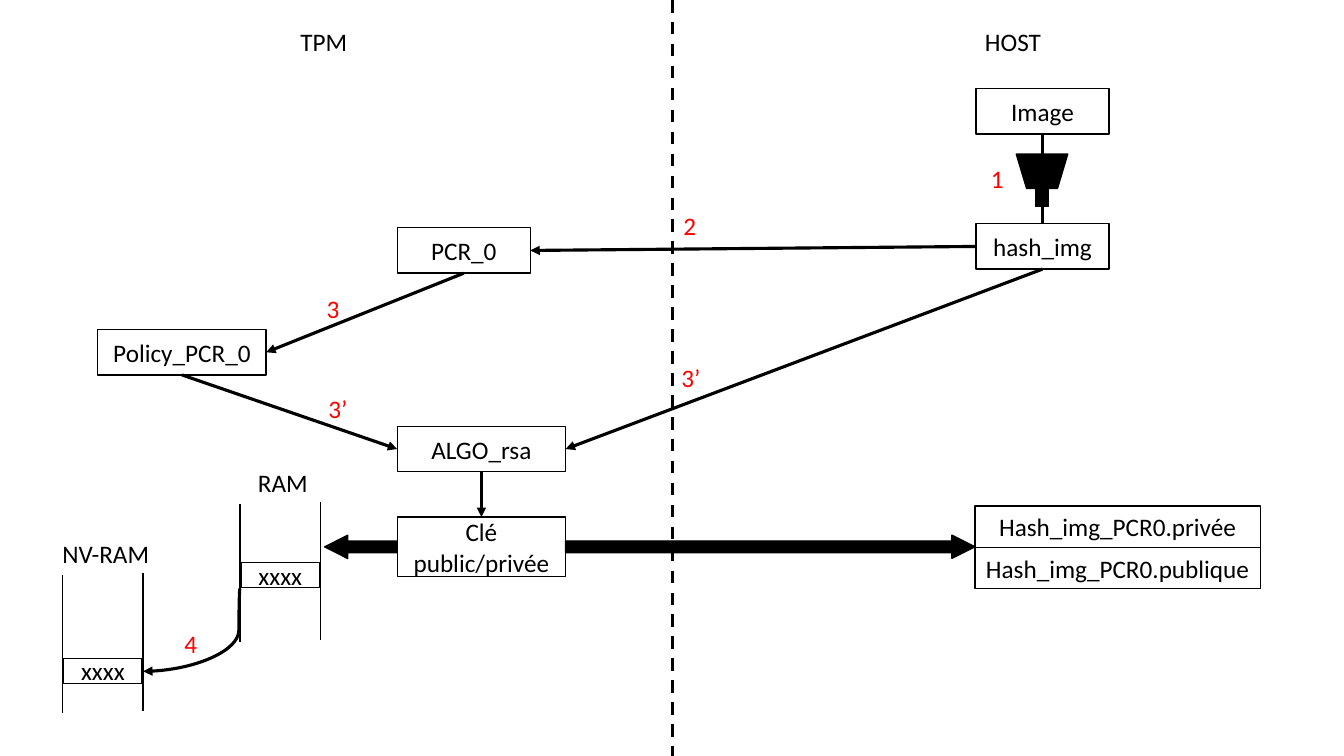
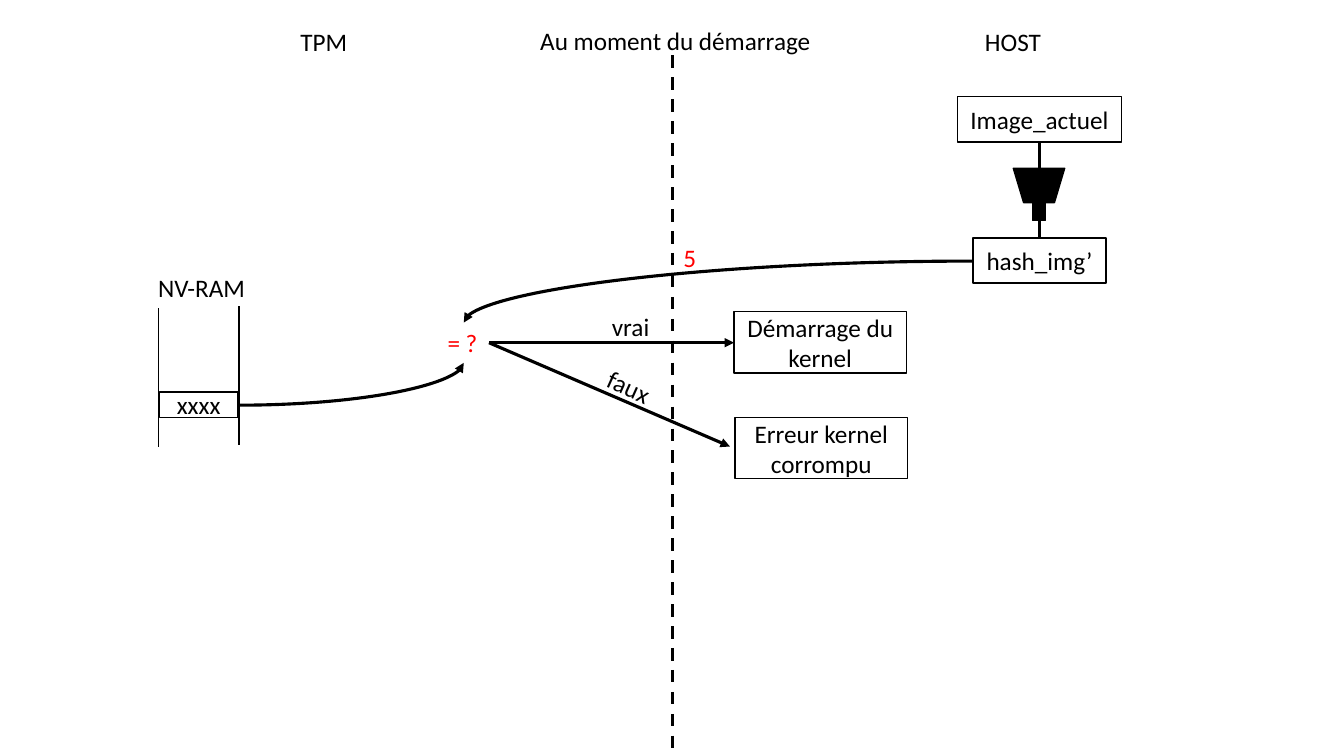
from lxml.etree import SubElement
from pptx import Presentation
from pptx.dml.color import RGBColor
from pptx.enum.dml import MSO_LINE
from pptx.enum.shapes import MSO_CONNECTOR as CONN, MSO_SHAPE as SHAPE
from pptx.enum.text import MSO_ANCHOR as ANCHOR, MSO_AUTO_SIZE as AUTO, PP_ALIGN as ALIGN
from pptx.oxml.ns import qn
from pptx.util import Inches, Pt

COLS, ROWS = 13.33, 7.5
CELL = Inches(1)
BLACK, WHITE, RED = "000000", "FFFFFF", "FF0000"
FONT, SIZE = "Calibri", 18
THIN, THICK = 1, 2.25
TOP, LEFT, BOTTOM, RIGHT = range(4)
MIDDLE = 6.67
BOX_H, BOX_W, WIDE_W = 0.45, 1.32, 1.67


def grid(*cells):
    return [round(n * CELL) for n in cells]


def rgb(code):
    return RGBColor.from_string(code)


def write(sp, text, color=BLACK, align=ALIGN.LEFT):
    tf = sp.text_frame
    tf.word_wrap = True
    p = tf.paragraphs[0]
    p.alignment = align
    r = p.add_run()
    r.text = text
    r.font.name, r.font.size = FONT, Pt(SIZE)
    r.font.color.rgb = rgb(color)


def shape(s, kind, x, y, w, h, fill=BLACK):
    sp = s.shapes.add_shape(kind, *grid(x, y, w, h))
    sp.shadow.inherit = False
    sp.fill.solid()
    sp.fill.fore_color.rgb = rgb(fill)
    sp.line.color.rgb = rgb(BLACK)
    sp.line.width = Pt(THIN)
    return sp


def box(s, text, x, y, w=BOX_W, h=BOX_H):
    sp = shape(s, SHAPE.RECTANGLE, x, y, w, h, WHITE)
    sp.text_frame.vertical_anchor = ANCHOR.MIDDLE
    write(sp, text, align=ALIGN.CENTER)
    return sp


def label(s, text, x, y, w, color=BLACK, turn=0):
    sp = s.shapes.add_textbox(*grid(x, y, w, 0.4))
    write(sp, text, color)
    sp.text_frame.auto_size = AUTO.SHAPE_TO_FIT_TEXT
    sp.rotation = turn


def step(s, text, x, y, w=0.35):
    label(s, text, x, y, w, RED)


def line(s, start, end, width=THICK, arrow=False, dash=False, kind=CONN.STRAIGHT):
    cx = s.shapes.add_connector(kind, *grid(*start, *end))
    cx.line.color.rgb = rgb(BLACK)
    cx.line.width = Pt(width)
    if dash:
        cx.line.dash_style = MSO_LINE.DASH
    if arrow:
        SubElement(cx.line._get_or_add_ln(), qn("a:tailEnd"), type="triangle")
    SubElement(cx._element.spPr, qn("a:effectLst"))
    return cx


def link(s, a, a_side, b, b_side, arrow=True):
    cx = line(s, (0, 0), (1, 1), arrow=arrow)
    cx.begin_connect(a, a_side)
    cx.end_connect(b, b_side)


def curve(s, start, end, preset="curvedConnector2", bend=None):
    cx = line(s, start, end, arrow=True, kind=CONN.CURVE)
    geom = cx._element.spPr.find(qn("a:prstGeom"))
    geom.set("prst", preset)
    if bend is not None:
        guides = geom.find(qn("a:avLst"))
        SubElement(guides, qn("a:gd"), name="adj1", fmla=f"val {round(bend * 100000)}")


def block_arrow(s, x, w, turn=0):
    sp = shape(s, SHAPE.RIGHT_ARROW, x, 5.31, w, 0.23)
    sp.adjustments[0], sp.adjustments[1] = 0.5, 0.99
    sp.rotation = turn


def memory(s, text, x, y, cell_drop=0.83, text_shift=-0.1, text_w=1.17):
    group = s.shapes.add_group_shape()
    for left, top in ((x, y), (x + 0.8, y - 0.02)):
        line(group, (left, top), (left, top + 1.37), THIN)
    label(group, text, x + text_shift, y - 0.41, text_w)
    box(s, "xxxx", x + 0.01, y + cell_drop, 0.78, 0.25)


def hashing(s, center, image, image_y, image_w, digest, digest_y):
    source = box(s, image, center - image_w / 2, image_y, image_w)
    result = box(s, digest, center - BOX_W / 2, digest_y)
    funnel = s.shapes.add_group_shape()
    top = digest_y - 0.69
    shape(funnel, SHAPE.FLOWCHART_MANUAL_OPERATION, center - 0.26, top, 0.51, 0.34)
    shape(funnel, SHAPE.RECTANGLE, center - 0.07, top + 0.34, 0.13, 0.18)
    link(s, source, BOTTOM, result, TOP, arrow=False)
    return result


def new_slide(prs, divider_top=0):
    s = prs.slides.add_slide(prs.slide_layouts[6])
    label(s, "HOST", 9.67, 0.21, 0.91)
    label(s, "TPM", 2.88, 0.21, 0.91)
    line(s, (MIDDLE, divider_top), (MIDDLE, ROWS), dash=True)
    return s


def sealing(prs):
    s = new_slide(prs)
    digest = hashing(s, 10.34, "Image", 0.88, BOX_W, "hash_img", 2.22)
    pcr = box(s, "PCR_0", 3.94, 2.26)
    policy = box(s, "Policy_PCR_0", 0.97, 3.27, WIDE_W)
    algo = box(s, "ALGO_rsa", 3.94, 4.23, WIDE_W)
    keys = box(s, "Clé public/privée", 3.94, 5.13, WIDE_W, 0.59)
    link(s, digest, LEFT, pcr, RIGHT)
    link(s, pcr, BOTTOM, policy, RIGHT)
    link(s, policy, BOTTOM, algo, LEFT)
    link(s, digest, BOTTOM, algo, RIGHT)
    link(s, algo, BOTTOM, keys, TOP)

    block_arrow(s, 5.61, 4.06)
    block_arrow(s, 3.22, 0.72, 180)
    for i, part in enumerate(("privée", "publique")):
        box(s, f"Hash_img_PCR0.{part}", 9.67, 5.02 + i * 0.41, 2.83, 0.41)

    memory(s, "RAM", 2.38, 5, 0.58, 0.08, 0.74)
    memory(s, "NV-RAM", 0.62, 5.7)
    curve(s, (2.38, 5.84), (1.42, 6.66), "curvedConnector3", 0.01)

    step(s, "1", 9.73, 1.57)
    step(s, "2", 6.68, 2.04)
    step(s, "3", 3.14, 2.86)
    step(s, "3’", 3.16, 3.85, 0.44)
    step(s, "3’", 6.66, 3.55, 0.44)
    step(s, "4", 1.73, 6.18)


def booting(prs):
    s = new_slide(prs, 0.55)
    label(s, "Au moment du démarrage", 5.26, 0.2, 3.2)
    hashing(s, 10.31, "Image_actuel", 0.96, 1.63, "hash_img’", 2.36)
    memory(s, "NV-RAM", 1.57, 3.06)

    curve(s, (2.36, 4.02), (4.6, 3.6))
    curve(s, (9.65, 2.59), (4.6, 3.2))
    step(s, "= ?", 4.34, 3.2, 0.51)
    step(s, "5", 6.68, 2.35)

    test = (4.85, 3.4)
    line(s, test, (7.24, 4.43), arrow=True)
    line(s, test, (7.28, 3.4), arrow=True)
    label(s, "vrai", 5.97, 3.04, 0.74)
    label(s, "faux", 5.92, 3.66, 0.74, turn=24.2)
    box(s, "Démarrage du kernel", 7.28, 3.09, 1.71, 0.61)
    box(s, "Erreur kernel corrompu", 7.29, 4.14, 1.71, 0.61)


def main():
    prs = Presentation()
    prs.slide_width, prs.slide_height = grid(COLS, ROWS)
    sealing(prs)
    booting(prs)
    prs.save("out.pptx")


main()
